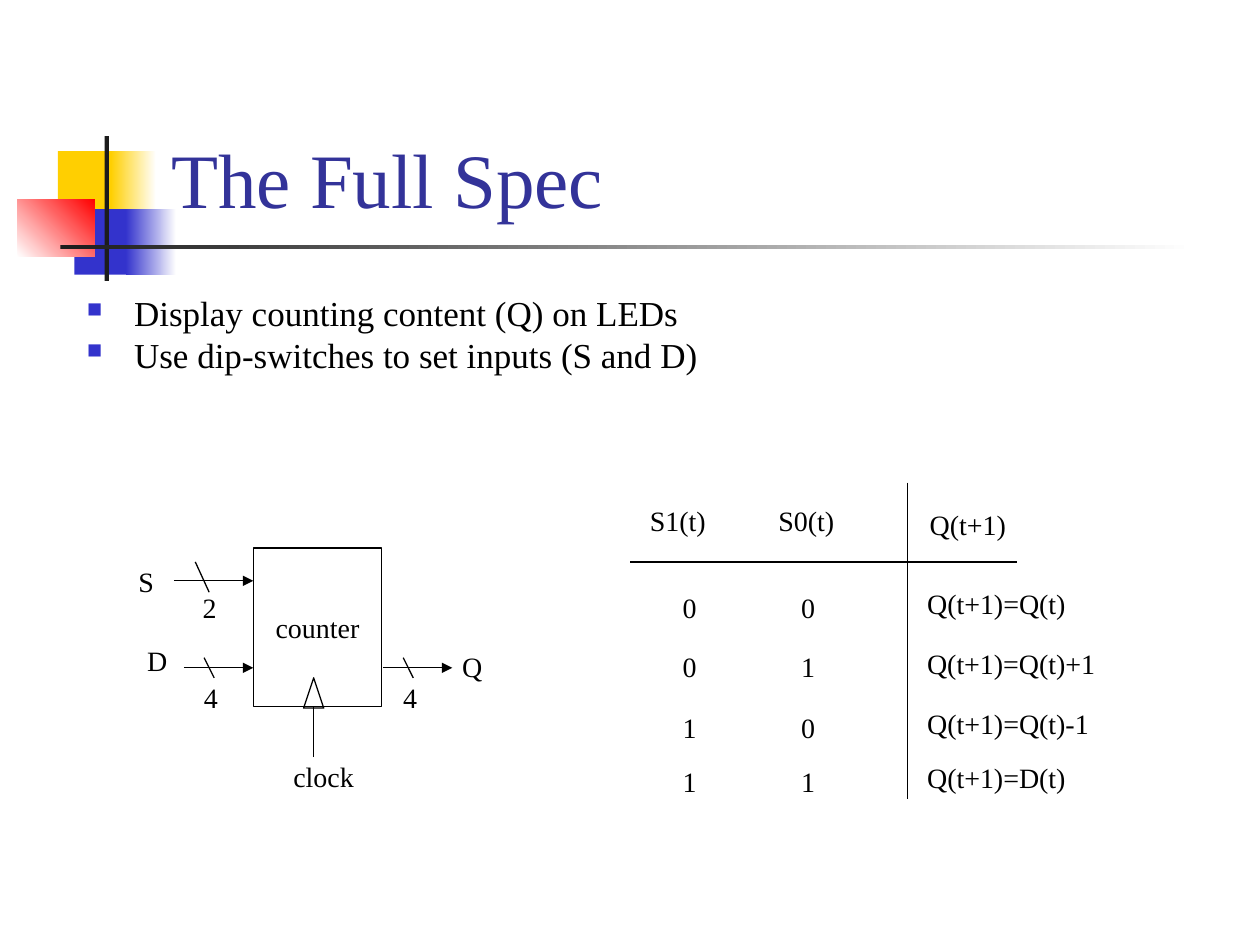
from dataclasses import dataclass

from lxml import etree
from pptx import Presentation
from pptx.dml.color import RGBColor
from pptx.enum.shapes import MSO_CONNECTOR, MSO_SHAPE
from pptx.enum.text import MSO_ANCHOR, MSO_AUTO_SIZE, PP_ALIGN
from pptx.oxml.ns import qn
from pptx.util import Inches, Pt

RECTANGLE = MSO_SHAPE.RECTANGLE
TRIANGLE = MSO_SHAPE.ISOSCELES_TRIANGLE
STRAIGHT = MSO_CONNECTOR.STRAIGHT
TOP, MIDDLE, BOTTOM = MSO_ANCHOR.TOP, MSO_ANCHOR.MIDDLE, MSO_ANCHOR.BOTTOM
LEFT, CENTER = PP_ALIGN.LEFT, PP_ALIGN.CENTER
FIT, FIXED = MSO_AUTO_SIZE.SHAPE_TO_FIT_TEXT, MSO_AUTO_SIZE.NONE

COLUMNS, ROWS = 100, 75
CELL = Inches(0.1)


@dataclass(frozen=True)
class Theme:
    font: str = "Times New Roman"
    title: str = "333399"
    ink: str = "000000"
    paper: str = "FFFFFF"
    yellow: str = "FFCF01"
    blue: str = "3333CC"
    red: str = "FF0000"
    dark: str = "1C1C1C"
    title_size: float = 44
    body_size: float = 20
    label_size: float = 16
    line: float = 0.75


@dataclass(frozen=True)
class Box:
    left: float
    top: float
    width: float
    height: float

    def point(self, x, y):
        return cells(self.left + x), cells(self.top + y)

    def area(self, x, y, width, height):
        return (*self.point(x, y), cells(width), cells(height))

    def whole(self):
        return self.area(0, 0, self.width, self.height)


THEME = Theme()
LABEL_HEIGHT = 3.7


def cells(count):
    return round(count * CELL)


def rgb(color):
    return RGBColor.from_string(color)


def write(shape, *lines, size=THEME.label_size, color=THEME.ink, align=LEFT,
          anchor=TOP, wrap=False, fit=FIXED, spacing=None, before=None, bullet=None):
    frame = shape.text_frame
    frame.word_wrap = wrap
    frame.auto_size = fit
    frame.vertical_anchor = anchor
    for index, line in enumerate(lines):
        para = frame.add_paragraph() if index else frame.paragraphs[0]
        para.alignment = align
        if spacing:
            para.line_spacing = spacing
        if before:
            para.space_before = Pt(before)
        if bullet:
            add_bullet(para, bullet)
        span = para.add_run()
        span.text = line
        span.font.name = THEME.font
        span.font.size = Pt(size)
        span.font.color.rgb = rgb(color)


def add_bullet(para, color, indent=3.75):
    properties = para._p.get_or_add_pPr()
    properties.set("marL", str(cells(indent)))
    properties.set("indent", str(-cells(indent)))
    tint = etree.SubElement(properties, qn("a:buClr"))
    etree.SubElement(tint, qn("a:srgbClr"), val=color)
    etree.SubElement(properties, qn("a:buSzPct"), val="60000")
    etree.SubElement(properties, qn("a:buChar"), char="■")


def add_label(parent, box, text, x, y, width):
    write(parent.shapes.add_textbox(*box.area(x, y, width, LABEL_HEIGHT)), text, fit=FIT)


def add_line(parent, box, start, end, arrow=False):
    line = parent.shapes.add_connector(STRAIGHT, *box.point(*start), *box.point(*end))
    line.line.color.rgb = rgb(THEME.ink)
    line.line.width = Pt(THEME.line)
    if arrow:
        etree.SubElement(line.line._get_or_add_ln(), qn("a:tailEnd"), type="triangle")
    etree.SubElement(line._element.spPr, qn("a:effectLst"))


def add_outline(parent, kind, place):
    shape = parent.shapes.add_shape(kind, *place)
    shape.shadow.inherit = False
    shape.fill.background()
    shape.line.color.rgb = rgb(THEME.ink)
    shape.line.width = Pt(THEME.line)
    return shape


def add_block(page, place, colors, angle=0):
    block = page.shapes.add_shape(RECTANGLE, *place)
    block.shadow.inherit = False
    block.line.fill.background()
    if len(colors) == 1:
        block.fill.solid()
        block.fill.fore_color.rgb = rgb(colors[0])
        return
    block.fill.gradient()
    block.fill.gradient_angle = angle
    for stop, color in zip(block.fill.gradient_stops, colors):
        stop.color.rgb = rgb(color)


def draw_ornament(page, box):
    for place, colors, angle in (
        ((3.2, 1.2, 4.8, 5.2), (THEME.yellow,), 0),
        ((7.4, 1.2, 3.6, 5.2), (THEME.yellow, THEME.paper), 0),
        ((4.5, 5.8, 4.6, 5.2), (THEME.blue,), 0),
        ((8.6, 5.8, 4, 5.2), (THEME.blue, THEME.paper), 0),
        ((0, 5, 6.1, 4.6), (THEME.paper, THEME.red), 45),
        ((6.9, 0, 0.35, 11.5), (THEME.dark,), 0),
        ((3.4, 8.65, 90, 0.35), (THEME.dark, THEME.paper), 0),
    ):
        add_block(page, box.area(*place), colors, angle)


def draw_title(page, box, text):
    write(page.shapes.add_textbox(*box.whole()), text, size=THEME.title_size,
          color=THEME.title, anchor=BOTTOM, wrap=True)


def draw_points(page, box, points):
    write(page.shapes.add_textbox(*box.whole()), *points, size=THEME.body_size,
          wrap=True, spacing=0.8, before=4.5, bullet=THEME.blue)


def draw_counter(page, box):
    group = page.shapes.add_group_shape()
    block = add_outline(group, RECTANGLE, box.area(10.1, 0, 10.2, 12.6))
    write(block, "counter", align=CENTER, anchor=MIDDLE)
    add_outline(group, TRIANGLE, box.area(14.1, 10.3, 1.6, 2.4))
    add_line(group, box, (14.9, 16.6), (14.9, 12.6))
    add_label(group, box, "clock", 12.3, 16.3, 6.8)
    for name, name_at, bits, bits_at, start, end, y, slash in (
        ("D", (0.7, 7.1, 3.6), "4", (5.2, 10), 4.6, 10.1, 9.5, (6.2, 8.7, 7, 10.3)),
        ("Q", (25.7, 7.6, 3.6), "4", (21, 10), 20.4, 25.9, 9.5, (22, 8.7, 22.8, 10.3)),
        ("S", (0, 0.8, 3.3), "2", (5.1, 2.9), 3.8, 10.1, 2.6, (5.5, 1.1, 6.6, 3.5)),
    ):
        add_line(group, box, (start, y), (end, y), arrow=True)
        add_line(group, box, slash[:2], slash[2:])
        add_label(group, box, bits, *bits_at, 3.1)
        add_label(group, box, name, *name_at)


def draw_truth_table(page, box):
    group = page.shapes.add_group_shape()
    add_line(group, box, (0, 6.3), (30.7, 6.3))
    add_line(group, box, (22, 0), (22, box.height))
    for text, *place in (("S1(t)", 0.6, 1.2, 6.5), ("S0(t)", 10.8, 1.2, 6.5),
                         ("Q(t+1)", 22.8, 1.5, 8.1)):
        add_label(group, box, text, *place)
    results = (("Q(t)", 8.1, 13.1), ("Q(t)+1", 12.8, 15.4),
               ("Q(t)-1", 17.6, 15.1), ("D(t)", 21.9, 13.1))
    for state, (result, y, width) in enumerate(results):
        for bit, x in zip(f"{state:02b}", (3.2, 12.6)):
            add_label(group, box, bit, x, y, 3.1)
        add_label(group, box, f"Q(t+1)={result}", 22.6, y - 0.3, width)


def main():
    deck = Presentation()
    deck.slide_width, deck.slide_height = cells(COLUMNS), cells(ROWS)
    page = deck.slides.add_slide(deck.slide_layouts[6])
    draw_ornament(page, Box(1.4, 10.8, 93.4, 11.5))
    draw_title(page, Box(12.6, 2.3, 85.2, 16), "The Full Spec")
    draw_points(page, Box(5.9, 23.3, 66.1, 9.4),
                ("Display counting content (Q) on LEDs",
                 "Use dip-switches to set inputs (S and D)"))
    draw_counter(page, Box(10, 43.5, 29.3, 20))
    draw_truth_table(page, Box(50, 38.3, 38, 25.1))
    deck.save("out.pptx")


main()
